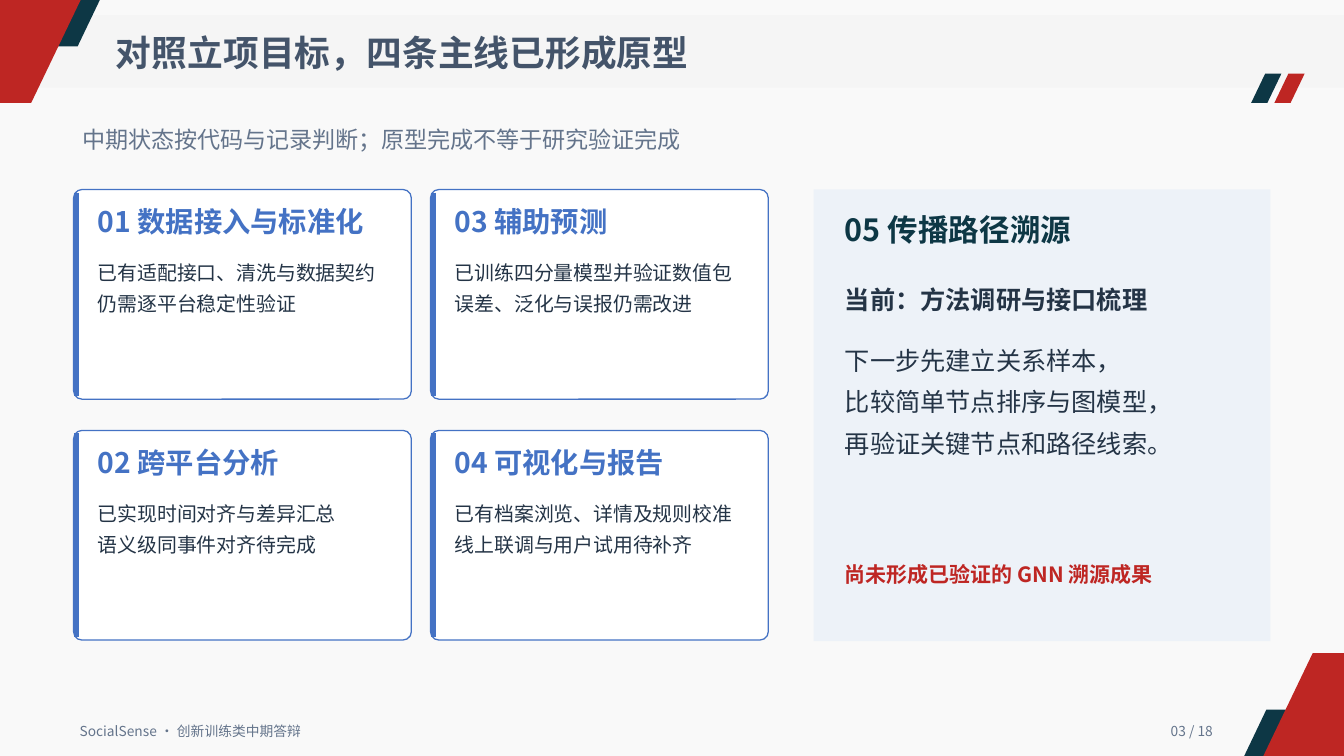
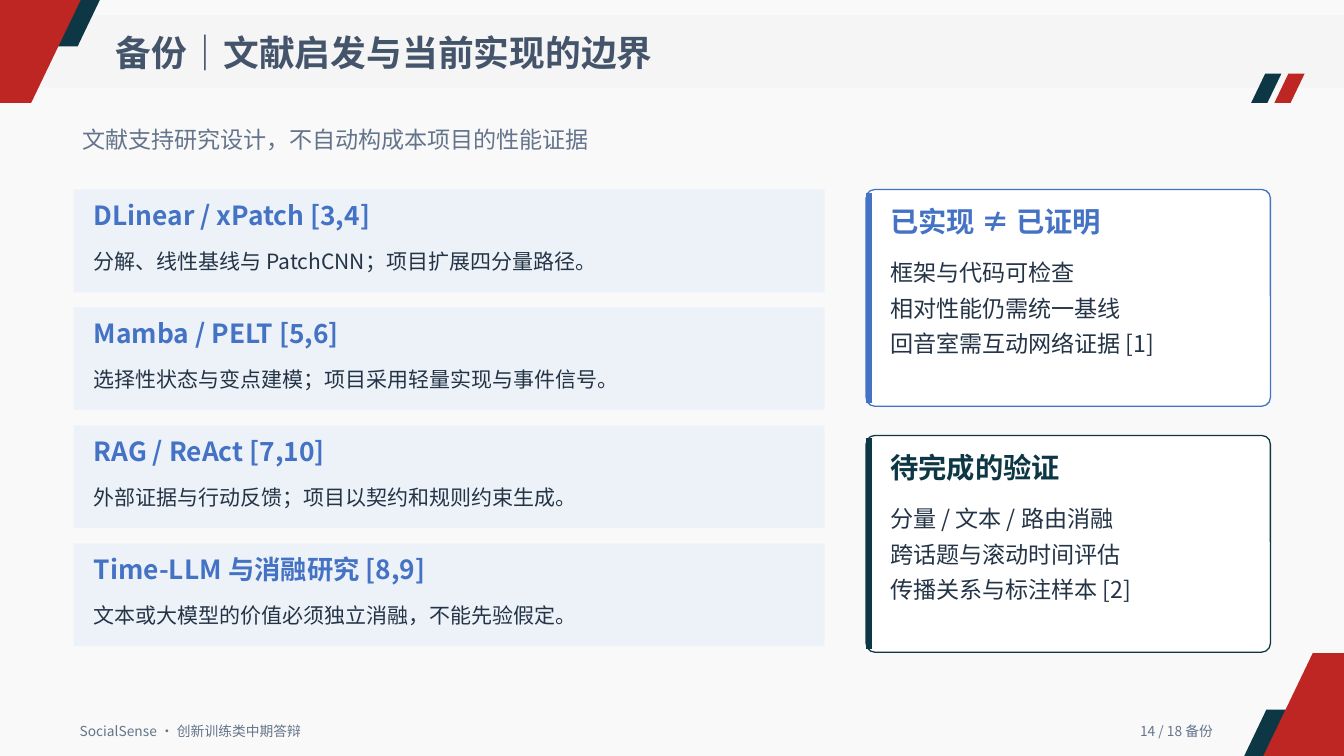
from lxml import etree
from pptx import Presentation
from pptx.dml.color import RGBColor
from pptx.enum.shapes import MSO_CONNECTOR, MSO_SHAPE
from pptx.enum.text import MSO_ANCHOR, MSO_AUTO_SIZE, PP_ALIGN
from pptx.oxml.ns import qn
from pptx.util import Inches, Pt

RECTANGLE = MSO_SHAPE.RECTANGLE
ROUNDED = MSO_SHAPE.ROUNDED_RECTANGLE
PARALLELOGRAM = MSO_SHAPE.PARALLELOGRAM
STRAIGHT = MSO_CONNECTOR.STRAIGHT
TOP = MSO_ANCHOR.TOP
NO_AUTOFIT = MSO_AUTO_SIZE.NONE
LEFT, RIGHT = PP_ALIGN.LEFT, PP_ALIGN.RIGHT

FONT = "Noto Sans CJK SC"
WHITE = RGBColor(0xFF, 0xFF, 0xFF)
PAPER = RGBColor(0xF5, 0xF5, 0xF5)
BAND = RGBColor(0xF2, 0xF2, 0xF2)
PANEL = RGBColor(0xED, 0xF2, 0xF8)
TEAL = RGBColor(0x0D, 0x37, 0x45)
RED = RGBColor(0xBE, 0x26, 0x23)
BLUE = RGBColor(0x44, 0x72, 0xC4)
SLATE = RGBColor(0x44, 0x54, 0x6A)
GREY = RGBColor(0x64, 0x74, 0x8B)
INK = RGBColor(0x24, 0x34, 0x46)

SLIDE_WIDTH, SLIDE_HEIGHT = 13.33, 7.5
CONTENT_LEFT, CONTENT_TOP = 0.73, 1.88


def paint(shape, fill, line=None):
    shape.shadow.inherit = False
    shape.fill.solid()
    shape.fill.fore_color.rgb = fill
    if line is None:
        shape.line.fill.background()
    else:
        shape.line.color.rgb = line
        shape.line.width = Pt(0.9)


def add_box(slide, kind, left, top, width, height, fill, line=None, adjustment=None):
    shape = slide.shapes.add_shape(
        kind, Inches(left), Inches(top), Inches(width), Inches(height))
    if adjustment is not None:
        shape.adjustments[0] = adjustment
    paint(shape, fill, line)
    return shape


def make_half_transparent(shape):
    color = shape.element.spPr.find(qn("a:solidFill"))[0]
    etree.SubElement(color, qn("a:alpha"), val="50000")


def write(shape, text, size, color, bold=False, align=LEFT, spacing=None):
    """Fill a shape with one paragraph; line breaks stay inside it."""
    frame = shape.text_frame
    frame.margin_left = frame.margin_right = frame.margin_top = frame.margin_bottom = 0
    frame.word_wrap = True
    frame.auto_size = NO_AUTOFIT
    frame.vertical_anchor = TOP
    paragraph = frame.paragraphs[0]
    paragraph.text = text
    paragraph.alignment = align
    if spacing:
        paragraph.line_spacing = Pt(spacing)
    font = paragraph.font
    font.name, font.size, font.bold = FONT, Pt(size), bold
    font.color.rgb = color
    for properties in shape.element.iter(qn("a:defRPr")):
        etree.SubElement(properties, qn("a:ea"), typeface=FONT)


def add_text(slide, left, top, width, height, text, size, color, **style):
    box = slide.shapes.add_textbox(
        Inches(left), Inches(top), Inches(width), Inches(height))
    write(box, text, size, color, **style)


def add_corner(slide, top_edge, bottom_edge, height, color, opposite=False):
    """Slanted wedge in the top left corner, or turned into the bottom right one."""
    points = [(0, 0), (top_edge, 0), (bottom_edge, height), (0, height)]
    if opposite:
        points = [(SLIDE_WIDTH - x, SLIDE_HEIGHT - y) for x, y in points]
    points = [(Inches(x), Inches(y)) for x, y in points]
    builder = slide.shapes.build_freeform(*points[0])
    builder.add_line_segments(points[1:], close=True)
    paint(builder.convert_to_shape(), color)


def decorate_layout(slide, layout):
    """Draw the shared decoration on a slide, then move it to the layout."""
    paper = add_box(slide, RECTANGLE, 0, 0, SLIDE_WIDTH, SLIDE_HEIGHT, PAPER)
    band = add_box(slide, RECTANGLE, 0, 0.15, SLIDE_WIDTH, 0.72, BAND)
    for shape in (paper, band):
        make_half_transparent(shape)
    for left, color in ((12.41, TEAL), (12.64, RED)):
        add_box(slide, PARALLELOGRAM, left, 0.73, 0.3, 0.29, color, adjustment=0.48)
    for opposite in (False, True):
        add_corner(slide, 0.99, 0.77, 0.46, TEAL, opposite)
        add_corner(slide, 0.8, 0.31, 1.02, RED, opposite)
    for shape in list(slide.shapes):
        if not shape.is_placeholder:
            layout.shapes.element.append(shape.element)


def add_frame(slide, title, subtitle, page):
    """Title, subtitle and footer."""
    heading = slide.shapes.title
    heading.left, heading.top = Inches(1.15), Inches(0.31)
    heading.width, heading.height = Inches(10), Inches(0.55)
    write(heading, title, 25.5, SLATE, bold=True)
    add_text(slide, 0.82, 1.24, 11, 0.35, subtitle, 16.5, GREY)
    add_text(slide, 0.79, 7.17, 4, 0.21, "SocialSense · 创新训练类中期答辩", 9.8, GREY)
    add_text(slide, 10.03, 7.17, 2, 0.21, page, 9.8, GREY, align=RIGHT)


def add_card(slide, left, top, width, height, title, body,
             body_offset, body_size, spacing, color=BLUE):
    """Outlined card with a thick left edge."""
    add_box(slide, ROUNDED, left, top, width, height, WHITE, color, 0.04)
    edge = slide.shapes.add_connector(
        STRAIGHT, Inches(left + 0.03), Inches(top + 0.03),
        Inches(left + 0.03), Inches(top + height - 0.03))
    edge.line.color.rgb = color
    edge.line.width = Pt(3.75)
    etree.SubElement(edge.element.spPr, qn("a:effectLst"))
    text_left, text_width = left + 0.24, width - 0.3
    add_text(slide, text_left, top + 0.15, text_width, 0.43, title, 20.2, color, bold=True)
    add_text(slide, text_left, top + body_offset, text_width, height - body_offset - 0.2,
             body, body_size, INK, spacing=spacing)


def add_literature_row(slide, top, title, body):
    add_box(slide, RECTANGLE, CONTENT_LEFT, top, 7.45, 1.02, PANEL)
    add_text(slide, 0.93, top + 0.1, 7, 0.4, title, 18.8, BLUE, bold=True)
    add_text(slide, 0.93, top + 0.59, 7, 0.32, body, 15, INK)


def build_progress_slide(slide):
    add_frame(slide, "对照立项目标，四条主线已形成原型",
              "中期状态按代码与记录判断；原型完成不等于研究验证完成", "03 / 18")
    cards = [
        ("01 数据接入与标准化", "已有适配接口、清洗与数据契约\n仍需逐平台稳定性验证"),
        ("02 跨平台分析", "已实现时间对齐与差异汇总\n语义级同事件对齐待完成"),
        ("03 辅助预测", "已训练四分量模型并验证数值包\n误差、泛化与误报仍需改进"),
        ("04 可视化与报告", "已有档案浏览、详情及规则校准\n线上联调与用户试用待补齐"),
    ]
    for index, (title, body) in enumerate(cards):
        column, row = divmod(index, 2)
        add_card(slide, CONTENT_LEFT + 3.54 * column, CONTENT_TOP + 2.39 * row,
                 3.35, 2.08, title, body, 0.64, 14.2, 22.1)

    add_box(slide, RECTANGLE, 8.07, CONTENT_TOP, 4.53, 4.48, PANEL)
    panel_left, panel_width = 8.38, 4.1
    add_text(slide, panel_left, 2.09, panel_width, 0.47, "05 传播路径溯源",
             21.8, TEAL, bold=True)
    add_text(slide, panel_left, 2.82, panel_width, 0.39, "当前：方法调研与接口梳理",
             18, INK, bold=True)
    add_text(slide, panel_left, 3.31, panel_width, 1.21,
             "下一步先建立关系样本，\n比较简单节点排序与图模型，\n再验证关键节点和路径线索。",
             18, INK, spacing=29.7)
    add_text(slide, panel_left, 5.57, panel_width, 0.32, "尚未形成已验证的 GNN 溯源成果",
             15, RED, bold=True)


def build_literature_slide(slide):
    add_frame(slide, "备份｜文献启发与当前实现的边界",
              "文献支持研究设计，不自动构成本项目的性能证据", "14 / 18 备份")
    rows = [
        ("DLinear / xPatch [3,4]", "分解、线性基线与 PatchCNN；项目扩展四分量路径。"),
        ("Mamba / PELT [5,6]", "选择性状态与变点建模；项目采用轻量实现与事件信号。"),
        ("RAG / ReAct [7,10]", "外部证据与行动反馈；项目以契约和规则约束生成。"),
        ("Time-LLM 与消融研究 [8,9]", "文本或大模型的价值必须独立消融，不能先验假定。"),
    ]
    for index, (title, body) in enumerate(rows):
        add_literature_row(slide, CONTENT_TOP + 1.17 * index, title, body)

    cards = [
        ("已实现 ≠ 已证明",
         "框架与代码可检查\n相对性能仍需统一基线\n回音室需互动网络证据 [1]", BLUE),
        ("待完成的验证",
         "分量 / 文本 / 路由消融\n跨话题与滚动时间评估\n传播关系与标注样本 [2]", TEAL),
    ]
    for index, (title, body, color) in enumerate(cards):
        add_card(slide, 8.59, CONTENT_TOP + 2.44 * index, 4.01, 2.15,
                 title, body, 0.6, 16.5, 25.6, color)


def main():
    presentation = Presentation()
    presentation.slide_width = Inches(SLIDE_WIDTH)
    presentation.slide_height = Inches(SLIDE_HEIGHT)
    layout = presentation.slide_layouts.get_by_name("Title Only")
    progress_slide = presentation.slides.add_slide(layout)
    literature_slide = presentation.slides.add_slide(layout)
    decorate_layout(progress_slide, layout)
    build_progress_slide(progress_slide)
    build_literature_slide(literature_slide)
    presentation.save("out.pptx")


if __name__ == "__main__":
    main()
